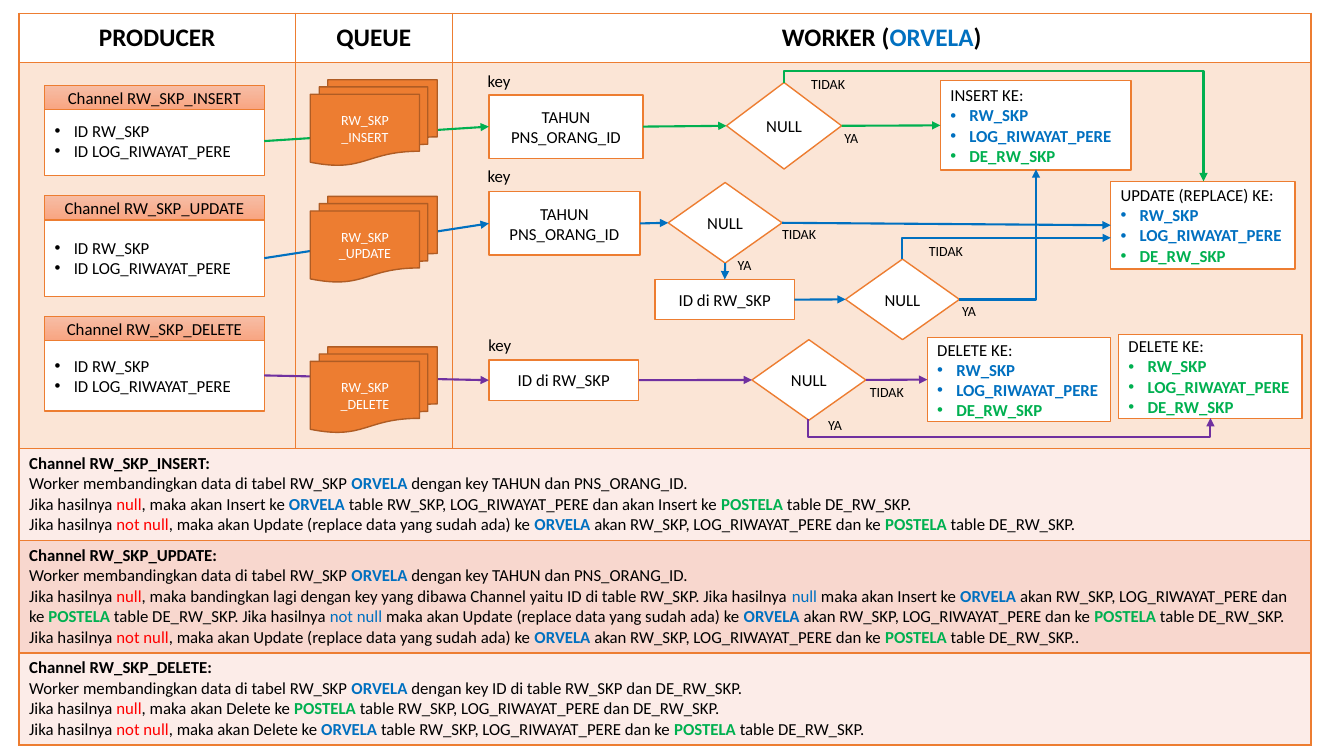
from lxml import etree
from pptx import Presentation
from pptx.dml.color import RGBColor
from pptx.enum.shapes import MSO_CONNECTOR, MSO_SHAPE
from pptx.enum.text import MSO_ANCHOR, PP_ALIGN
from pptx.oxml.ns import qn
from pptx.util import Cm, Pt

LEFT, CENTER = PP_ALIGN.LEFT, PP_ALIGN.CENTER
TOP, MIDDLE = MSO_ANCHOR.TOP, MSO_ANCHOR.MIDDLE
RECT, DIAMOND = MSO_SHAPE.RECTANGLE, MSO_SHAPE.DIAMOND
DOCUMENTS = MSO_SHAPE.FLOWCHART_MULTIDOCUMENT
STRAIGHT, ELBOW = MSO_CONNECTOR.STRAIGHT, MSO_CONNECTOR.ELBOW
SITE_TOP, SITE_LEFT, SITE_BOTTOM, SITE_RIGHT = range(4)
color = RGBColor.from_string
ORANGE, BLUE, GREEN, PURPLE = "ED7D31", "0070C0", "00B050", "7030A0"
BLACK, WHITE, RED = "000000", "FFFFFF", "FF0000"

# First character of a span -> colour, bold
MARKS = {"@": (BLUE, True), "#": (GREEN, True), "*": (BLACK, True),
         "!": (RED, False), "~": (BLUE, False)}


def write(frame, lines, size=12, ink=BLACK, align=LEFT):
    """Fill a frame; | splits spans, a mark styles a span, • starts a bullet."""
    frame.word_wrap = True
    for number, line in enumerate(lines):
        para = frame.paragraphs[0] if number == 0 else frame.add_paragraph()
        para.alignment = align
        if line.startswith("•"):
            line = line[1:]
            props = para._p.get_or_add_pPr()
            props.set("marL", str(Cm(0.48)))
            props.set("indent", str(-Cm(0.48)))
            etree.SubElement(props, qn("a:buFont")).set("typeface", "Arial")
            etree.SubElement(props, qn("a:buChar")).set("char", "•")
        for text in line.split("|"):
            span = para.add_run()
            hue, bold = MARKS.get(text[0], (ink, False))
            span.text = text[1:] if text[0] in MARKS else text
            for key, value in {"name": "Calibri", "size": Pt(size), "bold": bold}.items():
                setattr(span.font, key, value)
            span.font.color.rgb = color(hue)


def add_box(kind, place, lines, fill=WHITE, line=ORANGE, **text_format):
    box = page.shapes.add_shape(kind, *map(Cm, place))
    box.shadow.inherit = False
    box.fill.solid()
    box.fill.fore_color.rgb = color(fill)
    box.line.color.rgb = color(line)
    box.line.width = Pt(1)
    box.text_frame.vertical_anchor = MIDDLE
    if kind == DIAMOND:
        box.text_frame.margin_left = box.text_frame.margin_right = 0
    write(box.text_frame, lines, **text_format)
    return box


deck = Presentation()
deck.slide_width, deck.slide_height = Cm(33.87), Cm(19.05)
page = deck.slides.add_slide(deck.slide_layouts[6])

# Swimlanes and explanations
COMPARE = "Worker membandingkan data di tabel RW_SKP |@ORVELA |dengan key "
BOTH = "|@ORVELA |akan RW_SKP, LOG_RIWAYAT_PERE dan ke |#POSTELA| table DE_RW_SKP."
REPLACE = "maka akan Update (replace data yang sudah ada) ke " + BOTH
NOT_NULL = "Jika hasilnya |!not null|, "
IS_NULL = "Jika hasilnya |!null|, "
explanations = [
    ["*Channel RW_SKP_INSERT:", COMPARE + "TAHUN dan PNS_ORANG_ID.",
     IS_NULL + "maka akan Insert ke |@ORVELA |table RW_SKP, LOG_RIWAYAT_PERE "
     "dan akan Insert ke |#POSTELA| table DE_RW_SKP.",
     NOT_NULL + REPLACE],
    ["*Channel RW_SKP_UPDATE:", COMPARE + "TAHUN dan PNS_ORANG_ID.",
     IS_NULL + "maka bandingkan lagi dengan key yang dibawa Channel yaitu ID di table "
     "RW_SKP. Jika hasilnya |~null |maka akan Insert ke " + BOTH
     + " Jika hasilnya |~not null |" + REPLACE,
     NOT_NULL + REPLACE + "."],
    ["*Channel RW_SKP_DELETE:", COMPARE + "ID di table RW_SKP dan DE_RW_SKP.",
     IS_NULL + "maka akan Delete ke |#POSTELA |table RW_SKP, LOG_RIWAYAT_PERE dan DE_RW_SKP.",
     NOT_NULL + "maka akan Delete ke |@ORVELA |table RW_SKP, LOG_RIWAYAT_PERE dan ke "
     "|#POSTELA| table DE_RW_SKP."],
]
lanes = [[["*PRODUCER"], ["*QUEUE"], ["*WORKER (|@ORVELA|*)"]], [[], [], []]]
tables = [
    (0.33, [6.96, 3.96, 21.64], [1.24, 9.73], lanes, [WHITE, "FBE5D6"],
     MIDDLE, {"size": 18, "align": CENTER}),
    (11.3, [32.56], [2.29, 2.79, 2.29], [[lines] for lines in explanations],
     ["FCECE8", "F8D7CE", "FCECE8"], TOP, {}),
]
for top, widths, heights, rows, fills, anchor, text_format in tables:
    table = page.shapes.add_table(len(heights), len(widths), Cm(0.48), Cm(top),
                                  Cm(sum(widths)), Cm(sum(heights))).table
    table.first_row = table.horz_banding = False
    for column, width in zip(table.columns, widths):
        column.width = Cm(width)
    for row, height, fill, texts in zip(table.rows, heights, fills, rows):
        row.height = Cm(height)
        for cell, lines in zip(row.cells, texts):
            props = cell._tc.get_or_add_tcPr()
            for side in ("a:lnL", "a:lnR", "a:lnT", "a:lnB"):
                border = etree.SubElement(props, qn(side), w=str(Pt(1)))
                paint = etree.SubElement(border, qn("a:solidFill"))
                etree.SubElement(paint, qn("a:srgbClr"), val=ORANGE)
            cell.fill.solid()
            cell.fill.fore_color.rgb = color(fill)
            cell.vertical_anchor = anchor
            write(cell.text_frame, lines, **text_format)

# Producer channels: header top, body top, body height
boxes = {}
channels = {"INSERT": (2.16, 2.69, 1.73), "UPDATE": (4.93, 5.54, 1.93),
            "DELETE": (7.98, 8.56, 1.8)}
for job, (header_top, body_top, body_height) in channels.items():
    boxes[job + " body"] = add_box(RECT, (1.13, body_top, 5.53, body_height),
                                   ["•ID RW_SKP", "•ID LOG_RIWAYAT_PERE"])
    header = add_box(RECT, (1.13, header_top, 5.53, 0.6),
                     ["Channel RW_SKP_" + job], align=CENTER)
    header.line.width = Pt(0.5)
    header.fill.gradient()
    header.fill.gradient_angle = 270
    for stop, hue in zip(header.fill.gradient_stops, ("F7BDA5", "F8A582")):
        stop.color.rgb = color(hue)

# Worker keys, decisions and results
YEAR_KEY, ID_KEY = ["TAHUN", "PNS_ORANG_ID"], ["ID di RW_SKP"]
steps = [
    ("INSERT key", RECT, (12.32, 2.39, 3.89, 1.6), YEAR_KEY),
    ("UPDATE key", RECT, (12.32, 4.83, 3.81, 1.6), YEAR_KEY),
    ("ID key", RECT, (16.51, 7.04, 3.51, 1.02), ID_KEY),
    ("DELETE key", RECT, (12.32, 9.07, 3.78, 1.02), ID_KEY),
    ("INSERT test", DIAMOND, (18.31, 2.08, 2.9, 2.18), ["NULL"]),
    ("UPDATE test", DIAMOND, (16.84, 4.6, 2.87, 2.03), ["NULL"]),
    ("ID test", DIAMOND, (21.31, 6.53, 2.87, 2.03), ["NULL"]),
    ("DELETE test", DIAMOND, (18.95, 8.56, 2.87, 2.03), ["NULL"]),
]
for name, kind, place, lines in steps:
    boxes[name] = add_box(kind, place, lines, align=CENTER)
results = [
    ("INSERT result", "INSERT KE:", (23.7, 2.03, 4.8, 2.26), "@"),
    ("UPDATE result", "UPDATE (REPLACE) KE:", (27.99, 4.57, 4.65, 2.21), "@"),
    ("DELETE result", "DELETE KE:", (23.37, 8.51, 4.62, 2.11), "@"),
    ("DELETE null result", "DELETE KE:", (28.19, 8.43, 4.62, 2.11), "#"),
]
for name, heading, place, mark in results:
    boxes[name] = add_box(RECT, place, [heading, f"•{mark}RW_SKP",
                                        f"•{mark}LOG_RIWAYAT_PERE", "•#DE_RW_SKP"])

# Arrows: start box and site, end box and site, colour
arrows = []
for job, hue in (("INSERT", GREEN), ("UPDATE", BLUE), ("DELETE", PURPLE)):
    stations = [f"{job} {part}" for part in ("body", "key", "test", "result")]
    for start, end in zip(stations, stations[1:]):
        arrows.append((start, SITE_RIGHT, end, SITE_LEFT, hue, None))
arrows += [
    ("UPDATE test", SITE_BOTTOM, "ID key", SITE_TOP, BLUE, None),
    ("ID key", SITE_RIGHT, "ID test", SITE_LEFT, BLUE, None),
    # Bent arrows add: frame, rotation, flips, preset, bend
    ("INSERT test", SITE_TOP, "UPDATE result", SITE_TOP, GREEN,
     ((23.8, -1.96, 2.49, 10.57), 270, "h", "bentConnector3", -11900)),
    ("ID test", SITE_TOP, None, None, BLUE,
     ((25.1, 3.63, 0.53, 5.26), 90, "hv", "bentConnector2", None)),
    ("DELETE test", SITE_BOTTOM, "DELETE null result", SITE_BOTTOM, PURPLE,
     ((25.42, 5.48, 0.03, 10.14), 90, "hv", "bentConnector3", -1500000)),
    ("ID test", SITE_RIGHT, "INSERT result", SITE_BOTTOM, BLUE,
     ((24.18, 4.27, 1.93, 3.28), 0, "v", "bentConnector2", None)),
]
for start, start_site, end, end_site, hue, bend in arrows:
    arrow = page.shapes.add_connector(ELBOW if bend else STRAIGHT, 0, 0, Cm(1), Cm(1))
    arrow.begin_connect(boxes[start], start_site)
    if end:
        arrow.end_connect(boxes[end], end_site)
    arrow.line.color.rgb = color(hue)
    arrow.line.width = Pt(1.5)
    props = arrow._element.spPr
    etree.SubElement(props.find(qn("a:ln")), qn("a:tailEnd")).set("type", "triangle")
    etree.SubElement(props, qn("a:effectLst"))
    if bend:
        place, angle, flips, preset, shift = bend
        for side, length in zip(("left", "top", "width", "height"), place):
            setattr(arrow, side, Cm(length))
        frame = props.find(qn("a:xfrm"))
        frame.set("rot", str(angle * 60000))
        frame.set("flipH", str(int("h" in flips)))
        frame.set("flipV", str(int("v" in flips)))
        outline = props.find(qn("a:prstGeom"))
        outline.set("prst", preset)
        if shift:
            etree.SubElement(outline.find(qn("a:avLst")), qn("a:gd"),
                             name="adj1", fmla=f"val {shift}")

# Queues lie over the arrows
for job, top in (("INSERT", 2.01), ("UPDATE", 4.95), ("DELETE", 8.74)):
    add_box(DOCUMENTS, (7.82, top, 3.2, 2.16), ["RW_SKP", "_" + job],
            fill=ORANGE, line="AF5C24", size=10, ink=WHITE, align=CENTER)

# Labels: text, size, width, height, positions
labels = [
    ("key", 12, 1.09, 0.76, [(12.04, 1.65), (12.04, 4.06), (12.06, 8.31)]),
    ("YA", 10, 0.94, 0.69, [(21.03, 3.15), (18.34, 6.35), (24, 7.49), (20.62, 10.36)]),
    ("TIDAK", 10, 1.7, 0.69, [(20.19, 1.78), (19.46, 5.56), (23.16, 5.99), (21.67, 9.55)]),
]
for text, size, width, height, spots in labels:
    for left, top in spots:
        label = page.shapes.add_textbox(Cm(left), Cm(top), Cm(width), Cm(height))
        write(label.text_frame, [text], size=size)
        label.text_frame.word_wrap = text != "key"

deck.save("out.pptx")
